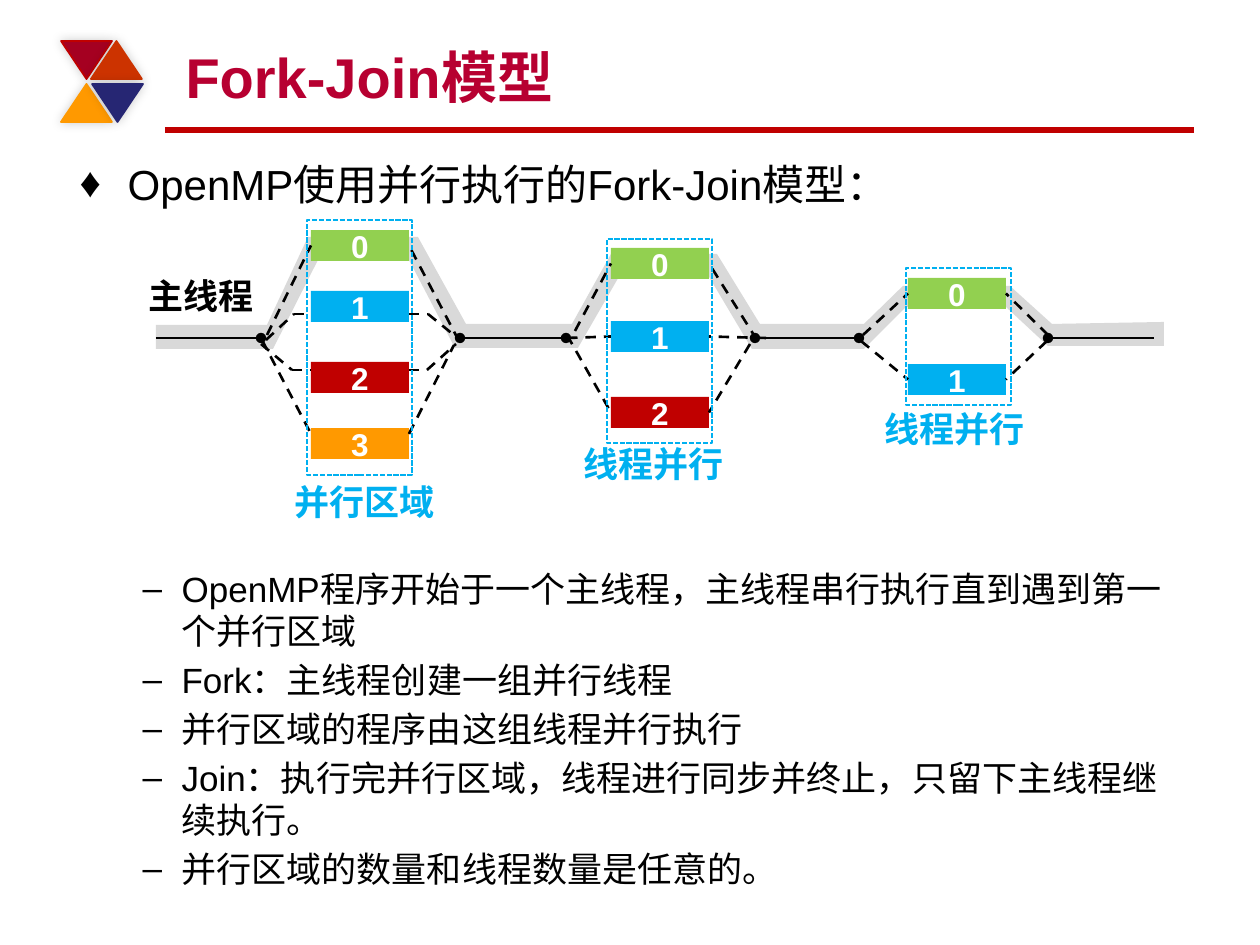
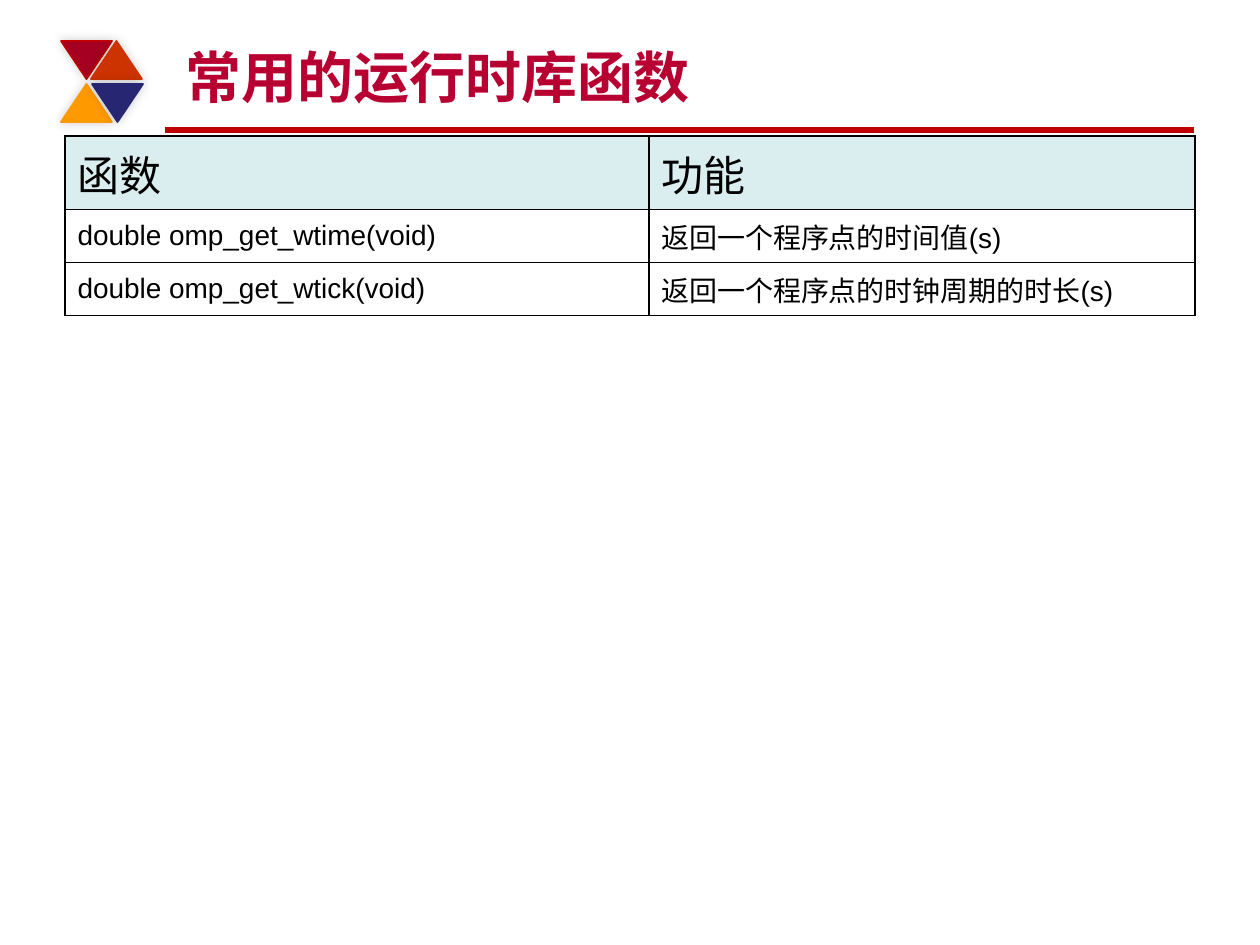
from itertools import pairwise

from lxml.etree import SubElement
from pptx import Presentation
from pptx.dml.color import RGBColor
from pptx.enum.dml import MSO_LINE
from pptx.enum.shapes import MSO_CONNECTOR, MSO_SHAPE
from pptx.enum.text import MSO_ANCHOR, MSO_AUTO_SIZE, PP_ALIGN
from pptx.oxml import parse_xml
from pptx.oxml.ns import nsdecls, qn
from pptx.util import Emu, Pt

SCALE = 914400 / 126  # EMU per px
FONT = "Arial"
TITLE_LAYOUT, LIST_LAYOUT = 5, 1

BLACK = RGBColor(0x00, 0x00, 0x00)
WHITE = RGBColor(0xFF, 0xFF, 0xFF)
CRIMSON = RGBColor(0xB7, 0x00, 0x31)
RED = RGBColor(0xC0, 0x00, 0x00)
GREEN = RGBColor(0x92, 0xD0, 0x50)
BLUE = RGBColor(0x00, 0xB0, 0xF0)
ORANGE = RGBColor(0xFF, 0x99, 0x00)
GREY = RGBColor(0xD9, 0xD9, 0xD9)
DARK_RED = RGBColor(0xA5, 0x00, 0x21)
RUST = RGBColor(0xCC, 0x33, 0x00)
NAVY = RGBColor(0x26, 0x26, 0x73)
PALE_TEAL = RGBColor(0xDA, 0xED, 0xEF)

THREAD_COLOURS = (GREEN, BLUE, RED, ORANGE)
THREAD_WIDTH, THREAD_HEIGHT = 98, 31

# Left, top, turn, fill and line of each triangle beside the title
TRIANGLES = (
    (61, 41, 180, DARK_RED, RED),
    (91, 41, 0, RUST, RUST),
    (61, 84, 0, ORANGE, ORANGE),
    (92, 84, 180, NAVY, NAVY),
)


def px(length):
    return Emu(round(length * SCALE))


class Page:
    """The shared style and the slide being drawn."""

    def __init__(self, deck, layout, title):
        self.slide = deck.slides.add_slide(deck.slide_layouts[layout])
        self.shapes = self.slide.shapes
        self.line((165, 130), (1194, 130), RED, 3)
        for left, top, turn, fill, edge in TRIANGLES:
            self.triangle(left, top, turn, fill, edge)
        self.title(title)

    def style(self, para, size, colour=BLACK, bold=False):
        font = para.font
        font.name, font.size, font.bold = FONT, Pt(size), bold
        font.color.rgb = colour

    def place(self, holder, left, top, width, height, anchor):
        holder.left, holder.top = px(left), px(top)
        holder.width, holder.height = px(width), px(height)
        holder.text_frame.auto_size = MSO_AUTO_SIZE.NONE
        holder.text_frame.vertical_anchor = anchor

    def title(self, text):
        holder = self.shapes.title
        self.place(holder, 173, 32, 1008, 84, MSO_ANCHOR.BOTTOM)
        para = holder.text_frame.paragraphs[0]
        para.text, para.alignment = text, PP_ALIGN.LEFT
        self.style(para, 32, CRIMSON, True)

    def bullets(self, heading, points, gap):
        """A heading, then its points below a gap in points."""
        holder = self.slide.placeholders[1]
        self.place(holder, 67, 152, 1128, 708, MSO_ANCHOR.TOP)
        frame = holder.text_frame
        frame.text = "\n".join((heading, *points))
        for index, para in enumerate(frame.paragraphs):
            level = min(index, 1)
            para.level = level
            margin, hang, mark, size = ((48, 48, "♦", 24), (102, 39, "–", 20))[level]
            props = para._p.get_or_add_pPr()
            props.set("marL", str(px(margin)))
            props.set("indent", str(-px(hang)))
            SubElement(props, qn("a:buChar")).set("char", mark)
            self.style(para, size)
        frame.paragraphs[1].space_before = Pt(gap)

    def line(self, start, end, colour=BLACK, weight=1.5, dash=None, head=False, tail=False):
        link = self.shapes.add_connector(
            MSO_CONNECTOR.STRAIGHT, *(px(value) for value in (*start, *end)))
        link.line.color.rgb, link.line.width = colour, Pt(weight)
        if dash:
            link.line.dash_style = dash
        for name, wanted in (("a:headEnd", head), ("a:tailEnd", tail)):
            if wanted:
                SubElement(link.line._ln, qn(name)).set("type", "oval")
        SubElement(link._element.spPr, qn("a:effectLst"))
        return link

    def shape(self, kind, left, top, width, height, fill=None, edge=None):
        box = self.shapes.add_shape(kind, px(left), px(top), px(width), px(height))
        self.paint(box, fill, edge)
        return box

    def paint(self, box, fill, edge):
        for part, colour in ((box.fill, fill), (box.line.fill, edge)):
            if colour is None:
                part.background()
            else:
                part.solid()
                part.fore_color.rgb = colour
        if edge is not None:
            box.line.width = Pt(1)
        box.shadow.inherit = False

    def triangle(self, left, top, turn, fill, edge):
        box = self.shape(MSO_SHAPE.ISOSCELES_TRIANGLE, left, top, 51, 38, fill, edge)
        box.rotation = turn
        box._element.spPr.find(qn("a:effectLst")).append(parse_xml(
            f'<a:outerShdw {nsdecls("a")} blurRad="{Pt(6)}" dist="0" dir="18900000">'
            '<a:srgbClr val="000000"><a:alpha val="20000"/></a:srgbClr></a:outerShdw>'))

    def outline(self, points, fill):
        builder = self.shapes.build_freeform(*points[0], scale=SCALE)
        builder.add_line_segments(points[1:], close=True)
        self.paint(builder.convert_to_shape(), fill, None)

    def thread(self, left, top, number):
        box = self.shape(MSO_SHAPE.RECTANGLE, left, top,
                         THREAD_WIDTH, THREAD_HEIGHT, THREAD_COLOURS[number])
        frame = box.text_frame
        frame.margin_top = frame.margin_bottom = 0
        frame.vertical_anchor = MSO_ANCHOR.MIDDLE
        para = frame.paragraphs[0]
        para.text, para.alignment = str(number), PP_ALIGN.CENTER
        self.style(para, 18, WHITE, True)
        return box

    def branch(self, box, points, side):
        """Dashes along the points; a lone point is joined to the box side."""
        if len(points) == 1:
            link = self.line(points[0], points[0], dash=MSO_LINE.DASH)
            link.end_connect(box, side)
        for start, end in pairwise(points):
            self.line(start, end, dash=MSO_LINE.DASH)

    def label(self, text, left, top, width, colour):
        box = self.shapes.add_textbox(px(left), px(top), px(width), px(55))
        box.text_frame.word_wrap = True
        para = box.text_frame.paragraphs[0]
        para.text = text
        self.style(para, 20, colour, True)

    def table(self, rows, left, top, widths, row_height):
        grid = self.shapes.add_table(
            len(rows), len(widths), px(left), px(top),
            px(sum(widths)), px(row_height * len(rows))).table
        grid.first_row = grid.horz_banding = False
        for column, width in zip(grid.columns, widths):
            column.width = px(width)
        for row_index, texts in enumerate(rows):
            for column_index, text in enumerate(texts):
                cell = grid.cell(row_index, column_index)
                cell.vertical_anchor = MSO_ANCHOR.MIDDLE
                cell.text = text
                self.style(cell.text_frame.paragraphs[0], 16 if row_index else 24)
                self.borders(cell)
                if row_index:
                    cell.fill.background()
                else:
                    cell.fill.solid()
                    cell.fill.fore_color.rgb = PALE_TEAL

    def borders(self, cell):
        props = cell._tc.get_or_add_tcPr()
        for index, side in enumerate(("lnL", "lnR", "lnT", "lnB")):
            props.insert(index, parse_xml(
                f'<a:{side} {nsdecls("a")} w="{Pt(1)}"><a:solidFill>'
                f'<a:srgbClr val="{BLACK}"/></a:solidFill></a:{side}>'))


# Grey band that follows the master thread
MASTER_PATH = (
    (156, 325), (267, 325), (308, 237), (418, 237), (466, 324), (572, 324),
    (611, 254), (717, 254), (760, 324), (864, 324), (903, 286), (1010, 286),
    (1052, 324), (1164, 322), (1164, 346), (1048, 346), (1005, 306), (906, 307),
    (864, 349), (752, 349), (708, 275), (620, 275), (578, 348), (455, 348),
    (407, 256), (320, 256), (273, 349), (156, 349),
)

# Start, end and dots at either end of each serial stretch
SERIAL_STRETCHES = (
    (156, 261, False, True),
    (460, 566, True, True),
    (755, 859, True, True),
    (1048, 1154, True, False),
)

# Label and its place, frame, left of the threads,
# then top, fork points and join points of each thread
REGIONS = (
    ("并行区域", (282, 474), (307, 220, 105, 255), 311, (
        (230, [(267, 335)], [(459, 341)]),
        (291, [(266, 340), (294, 314), (311, 314)], [(409, 314), (428, 314), (460, 340)]),
        (362, [(261, 344), (292, 370), (311, 370)], [(409, 370), (427, 370), (456, 344)]),
        (428, [(262, 340), (311, 434)], [(409, 434), (454, 345)]))),
    ("线程并行", (571, 436), (607, 239, 105, 204), 611, (
        (248, [(575, 331)], [(757, 340)]),
        (321, [(567, 338)], [(766, 338)]),
        (397, [(567, 335)], [(750, 344)]))),
    ("线程并行", (872, 401), (906, 268, 105, 137), 908, (
        (278, [(863, 335)], [(1048, 335)]),
        (364, [(861, 341)], [(1047, 341)]))),
)


def fork_join_page(deck):
    page = Page(deck, LIST_LAYOUT, "Fork-Join模型")
    page.bullets("OpenMP使用并行执行的Fork-Join模型：", (
        "OpenMP程序开始于一个主线程，主线程串行执行直到遇到第一个并行区域",
        "Fork：主线程创建一组并行线程",
        "并行区域的程序由这组线程并行执行",
        "Join：执行完并行区域，线程进行同步并终止，只留下主线程继续执行。",
        "并行区域的数量和线程数量是任意的。",
    ), gap=205)

    # Master thread
    page.outline(MASTER_PATH, GREY)
    for start, end, head, tail in SERIAL_STRETCHES:
        page.line((start, 338), (end, 338), head=head, tail=tail)
    page.label("主线程", 136, 268, 163, BLACK)

    # Parallel regions
    for name, label_place, frame, left, threads in REGIONS:
        for number, (top, fork, join) in enumerate(threads):
            box = page.thread(left, top, number)
            page.branch(box, fork, 1)
            page.branch(box, join, 3)
        region = page.shape(MSO_SHAPE.RECTANGLE, *frame, edge=BLUE)
        region.line.dash_style = MSO_LINE.SQUARE_DOT
        page.label(name, *label_place, 193, BLUE)


def library_page(deck):
    page = Page(deck, TITLE_LAYOUT, "常用的运行时库函数")
    page.table((
        ("函数", "功能"),
        ("double omp_get_wtime(void)", "返回一个程序点的时间值(s)"),
        ("double omp_get_wtick(void)", "返回一个程序点的时钟周期的时长(s)"),
    ), 65, 136, (584, 546), 52)


def main():
    deck = Presentation()
    deck.slide_width, deck.slide_height = px(1260), px(945)
    fork_join_page(deck)
    library_page(deck)
    deck.save("out.pptx")


if __name__ == "__main__":
    main()
